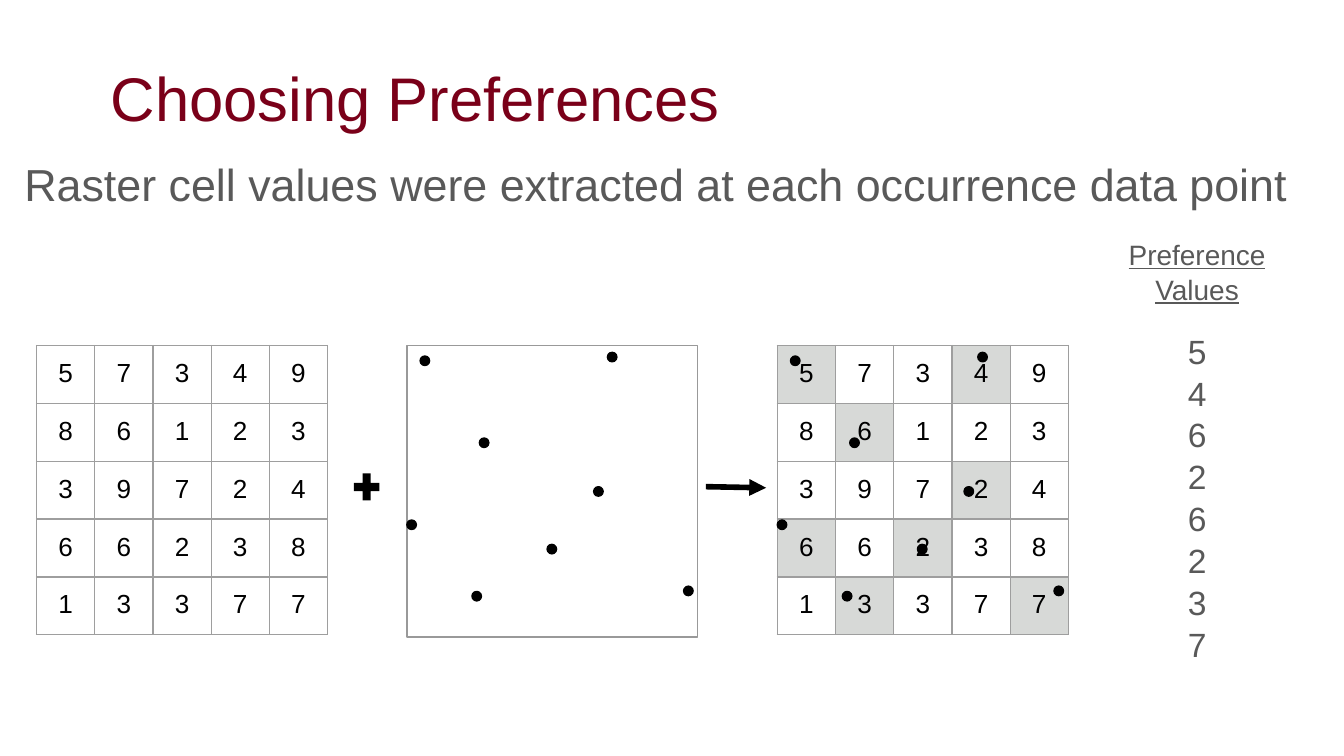
from lxml import etree
from pptx import Presentation
from pptx.dml.color import RGBColor
from pptx.enum.shapes import MSO_CONNECTOR, MSO_SHAPE
from pptx.enum.text import MSO_ANCHOR, PP_ALIGN
from pptx.oxml.ns import qn
from pptx.util import Cm, Pt

LEFT, CENTER = PP_ALIGN.LEFT, PP_ALIGN.CENTER
TOP, MIDDLE = MSO_ANCHOR.TOP, MSO_ANCHOR.MIDDLE
RECTANGLE, PLUS = MSO_SHAPE.RECTANGLE, MSO_SHAPE.MATH_PLUS
DOT = MSO_SHAPE.FLOWCHART_CONNECTOR
STRAIGHT = MSO_CONNECTOR.STRAIGHT

FONT = "Arial"
MAROON, GRAY, BLACK = "7A0019", "595959", "000000"
GRID_LINE, FRAME_LINE, SAMPLED_FILL = "9E9E9E", "999999", "D7D9D7"

# All lengths are in centimetres.
CELL_WIDTH, CELL_HEIGHT = 1.1, 1.06
DOT_SIZE = 0.18
RASTER = ["57349", "86123", "39724", "66238", "13377"]
# Top left corner of each occurrence point, measured from the grid's corner
POINTS = [(0.25, 0.2), (1.37, 1.75), (3.53, 2.67), (3.79, 0.13),
          (2.65, 3.76), (0, 3.3), (5.23, 4.55), (1.23, 4.65)]


def color(hex_string):
    return RGBColor.from_string(hex_string)


def sampled_cells():
    """Row and column of every cell that holds a point, in reading order."""
    half = DOT_SIZE / 2
    return sorted((int((y + half) / CELL_HEIGHT), int((x + half) / CELL_WIDTH))
                  for x, y in POINTS)


def write(frame, *lines, size, ink, align=LEFT, anchor=TOP, inset=(0.25, 0.25),
          underline=None, spacing=None):
    frame.word_wrap = True
    frame.vertical_anchor = anchor
    frame.margin_left = frame.margin_right = Cm(inset[0])
    frame.margin_top = frame.margin_bottom = Cm(inset[1])
    for index, line in enumerate(lines):
        para = frame.add_paragraph() if index else frame.paragraphs[0]
        para.alignment = align
        para.line_spacing = spacing
        span = para.add_run()
        span.text = line
        span.font.name = FONT
        span.font.size = Pt(size)
        span.font.underline = underline
        span.font.color.rgb = color(ink)


def add_text(page, box, *lines, **style):
    shape = page.shapes.add_textbox(*map(Cm, box))
    write(shape.text_frame, *lines, **style)


def add_shape(page, kind, box, fill=None, line=None):
    shape = page.shapes.add_shape(kind, *map(Cm, box))
    shape.shadow.inherit = False
    if fill:
        shape.fill.solid()
        shape.fill.fore_color.rgb = color(fill)
    else:
        shape.fill.background()
    if line:
        shape.line.color.rgb = color(line)
        shape.line.width = Pt(0.75)
    else:
        shape.line.fill.background()
    return shape


def set_borders(cell):
    properties = cell._tc.get_or_add_tcPr()
    for index, side in enumerate(("lnL", "lnR", "lnT", "lnB")):
        border = etree.Element(qn(f"a:{side}"), w=str(Pt(0.75)))
        fill = etree.SubElement(border, qn("a:solidFill"))
        etree.SubElement(fill, qn("a:srgbClr"), val=GRID_LINE)
        properties.insert(index, border)


def add_raster(page, left, top, sampled=()):
    rows, columns = len(RASTER), len(RASTER[0])
    table = page.shapes.add_table(
        rows, columns, Cm(left), Cm(top),
        Cm(columns * CELL_WIDTH), Cm(rows * CELL_HEIGHT)).table
    table.first_row = table.horz_banding = False
    for column in table.columns:
        column.width = Cm(CELL_WIDTH)
    for row_index, values in enumerate(RASTER):
        table.rows[row_index].height = Cm(CELL_HEIGHT)
        for column_index, value in enumerate(values):
            cell = table.cell(row_index, column_index)
            cell.margin_left = cell.margin_right = Cm(0.25)
            cell.margin_top = cell.margin_bottom = Cm(0.25)
            write_cell(cell, value)
            if (row_index, column_index) in sampled:
                cell.fill.solid()
                cell.fill.fore_color.rgb = color(SAMPLED_FILL)
            else:
                cell.fill.background()
            set_borders(cell)


def write_cell(cell, value):
    para = cell.text_frame.paragraphs[0]
    para.alignment = CENTER
    span = para.add_run()
    span.text = value
    span.font.name = FONT
    span.font.size = Pt(14)
    span.font.color.rgb = color(BLACK)


def add_points(page, left, top):
    for x, y in POINTS:
        add_shape(page, DOT, (left + x, top + y, DOT_SIZE, DOT_SIZE),
                  fill=BLACK, line=BLACK)


def add_arrow(page, start, end):
    arrow = page.shapes.add_connector(STRAIGHT, *map(Cm, start + end))
    arrow.line.color.rgb = color(BLACK)
    arrow.line.width = Pt(3)
    etree.SubElement(arrow.line._get_or_add_ln(), qn("a:tailEnd"), type="triangle")
    etree.SubElement(arrow._element.spPr, qn("a:effectLst"))


def add_headings(page, left, top):
    title = page.shapes.title
    title.left, title.top = Cm(left + 1.63), Cm(top)
    title.width, title.height = Cm(21.59), Cm(2.39)
    write(title.text_frame, "Choosing Preferences", size=33, ink=MAROON,
          anchor=MIDDLE, inset=(0.18, 0.1))
    add_text(page, (left, top + 2.23, 24.84, 1.47),
             "Raster cell values were extracted at each occurrence data point",
             size=24, ink=GRAY, inset=(0.18, 0.1))


def add_diagram(page, left, top):
    """Raster plus points gives the raster with its sampled cells shaded."""
    points_left, result_left = left + 7, left + 14
    add_raster(page, left, top)
    plus = add_shape(page, PLUS, (left + 5.91, top + 2.33, 0.66, 0.69), fill=BLACK)
    plus.adjustments[0] = 0.235
    add_shape(page, RECTANGLE, (points_left, top, 5.49, 5.51), line=FRAME_LINE)
    add_points(page, points_left, top)
    add_arrow(page, (left + 12.65, top + 2.67), (left + 13.79, top + 2.69))
    add_raster(page, result_left, top, sampled_cells())
    add_points(page, result_left, top)


def add_preferences(page, left, top):
    add_text(page, (left, top, 3.33, 0.91), "Preference Values",
             size=15, ink=GRAY, align=CENTER, underline=True, spacing=1.03)
    values = [RASTER[row][column] for row, column in sampled_cells()]
    add_text(page, (left + 0.61, top + 1.75, 2.11, 6.65), *values,
             size=18, ink=GRAY, align=CENTER, spacing=1.04)


def main():
    deck = Presentation()
    deck.slide_width, deck.slide_height = Cm(25.4), Cm(14.29)
    page = deck.slides.add_slide(deck.slide_layouts[5])
    add_headings(page, 0.28, 0.64)
    add_diagram(page, 0.69, 6.53)
    add_preferences(page, 20.96, 4.22)
    deck.save("out.pptx")


if __name__ == "__main__":
    main()
